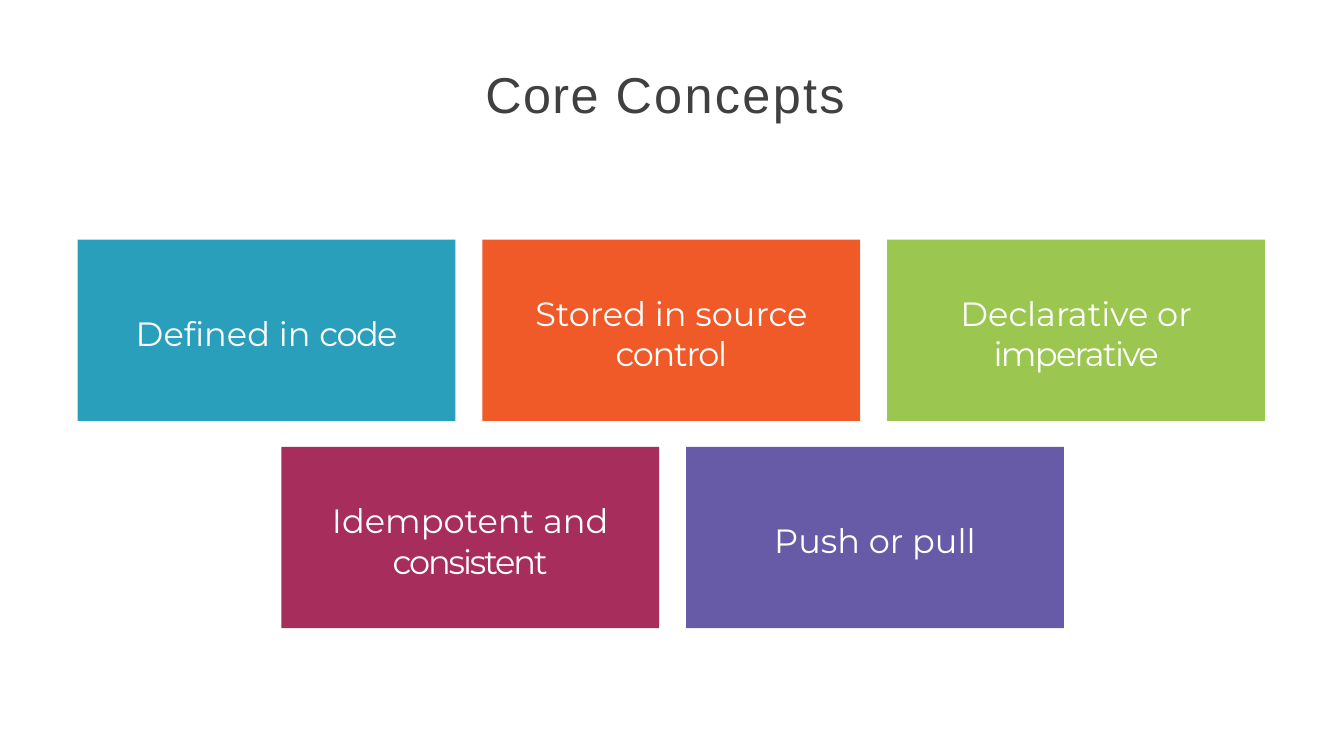
from pptx import Presentation
from pptx.dml.color import RGBColor
from pptx.enum.shapes import MSO_SHAPE
from pptx.enum.text import MSO_ANCHOR, PP_ALIGN
from pptx.util import Cm, Pt

RECTANGLE = MSO_SHAPE.RECTANGLE
CENTER = PP_ALIGN.CENTER
TOP, MIDDLE = MSO_ANCHOR.TOP, MSO_ANCHOR.MIDDLE

WHITE = RGBColor(0xFF, 0xFF, 0xFF)
CHARCOAL = RGBColor(0x40, 0x40, 0x40)
TEAL = RGBColor(0x2A, 0x9F, 0xBB)
ORANGE = RGBColor(0xEF, 0x5A, 0x28)
GREEN = RGBColor(0x9B, 0xC7, 0x50)
MAGENTA = RGBColor(0xA6, 0x2D, 0x5C)
PURPLE = RGBColor(0x67, 0x5B, 0xA7)

# Tile grid in centimetres
TILE_WIDTH, TILE_HEIGHT = 9.52, 4.57
COLUMN_STEP, ROW_STEP = 10.2, 5.22
FIRST_TOP = 6.04

# Each row: left edge and tiles; each tile: colour and lines of (text, spacing) runs
ROWS = [
    (1.96, [
        (TEAL, [[("Defined in ", 0), ("code", -1.1)]]),
        (ORANGE, [[("Stored in source", 0)], [("control", -0.9)]]),
        (GREEN, [[("Declarative or", 0)], [("imperative", -1.2)]]),
    ]),
    (7.09, [
        (MAGENTA, [[("Idempotent and", 0)], [("consistent", -1.5)]]),
        (PURPLE, [[("Push or pull", 0)]]),
    ]),
]


def write_text(shape, lines, *, font, size, color, anchor, top_inset):
    """Fill a shape with centred lines of (text, letter spacing) runs."""
    frame = shape.text_frame
    frame.word_wrap = True
    frame.vertical_anchor = anchor
    frame.margin_left = frame.margin_right = frame.margin_bottom = 0
    frame.margin_top = Cm(top_inset)
    for index, line in enumerate(lines):
        paragraph = frame.add_paragraph() if index else frame.paragraphs[0]
        paragraph.alignment = CENTER
        for text, spacing in line:
            run = paragraph.add_run()
            run.text = text
            run.font.name = font
            run.font.size = Pt(size)
            run.font.color.rgb = color
            if spacing:
                run.font._element.set("spc", str(round(spacing * 100)))


class ConceptSlide:
    title_style = dict(font="Arial", size=36, color=CHARCOAL,
                       anchor=TOP, top_inset=0.18)
    tile_style = dict(font="Montserrat", size=24, color=WHITE,
                      anchor=MIDDLE, top_inset=0.15)

    def __init__(self, presentation):
        self.slide = presentation.slides.add_slide(presentation.slide_layouts[6])

    def title(self, left, top, width, height, runs):
        box = self.slide.shapes.add_textbox(Cm(left), Cm(top), Cm(width), Cm(height))
        write_text(box, [runs], **self.title_style)

    def tile(self, left, top, color, lines):
        shape = self.slide.shapes.add_shape(
            RECTANGLE, Cm(left), Cm(top), Cm(TILE_WIDTH), Cm(TILE_HEIGHT))
        shape.shadow.inherit = False
        shape.fill.solid()
        shape.fill.fore_color.rgb = color
        shape.line.fill.background()
        write_text(shape, lines, **self.tile_style)


def main():
    presentation = Presentation()
    presentation.slide_width = Cm(33.87)
    presentation.slide_height = Cm(19.05)
    concepts = ConceptSlide(presentation)

    # Heading
    concepts.title(12.14, 1.4, 9.25, 1.6, [("Core ", 1), ("Concepts", 1.7)])

    # Concept tiles
    for row, (left, tiles) in enumerate(ROWS):
        for column, (color, lines) in enumerate(tiles):
            concepts.tile(left + column * COLUMN_STEP,
                          FIRST_TOP + row * ROW_STEP, color, lines)

    presentation.save("out.pptx")


if __name__ == "__main__":
    main()
